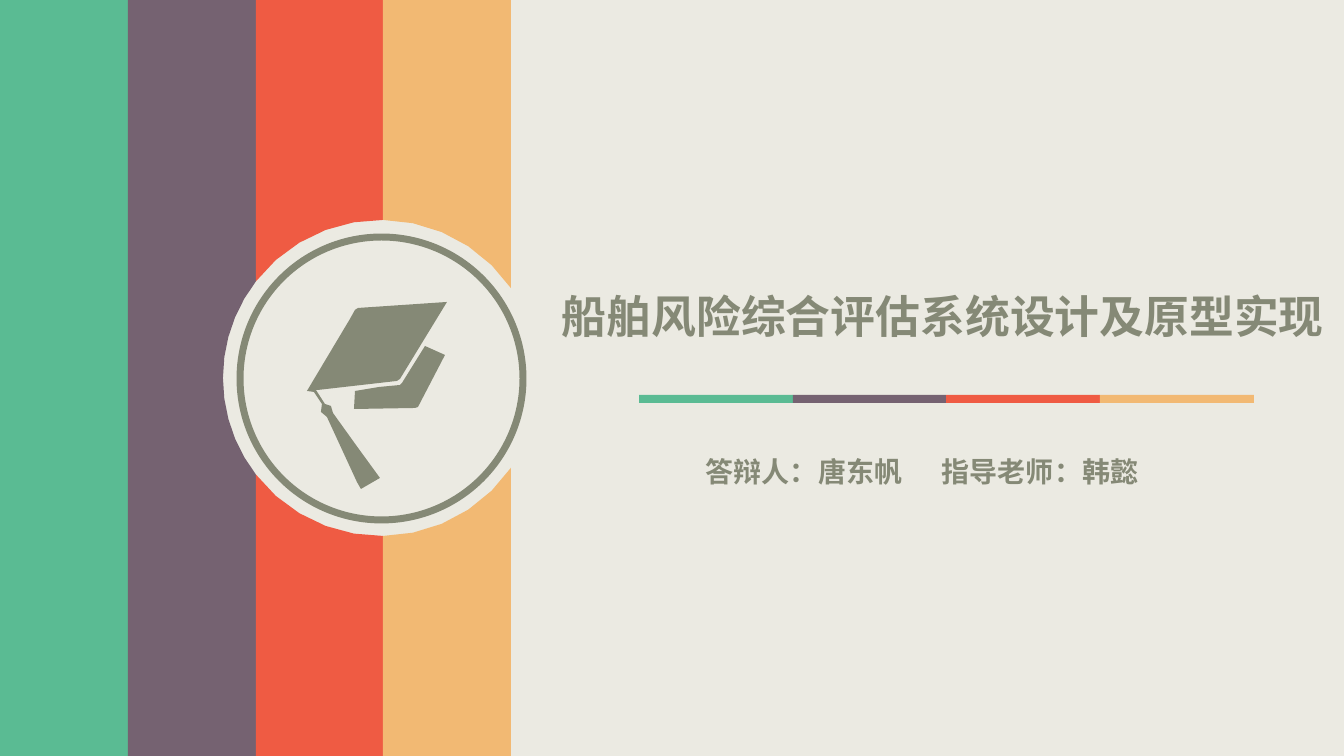
import math

import pptx
import pptx.dml.color
import pptx.enum.shapes
import pptx.enum.text
import pptx.oxml.ns
import pptx.util
from lxml import etree

RGBColor = pptx.dml.color.RGBColor
GREEN = RGBColor(0x5A, 0xBB, 0x93)
PURPLE = RGBColor(0x75, 0x62, 0x71)
RED = RGBColor(0xEF, 0x5B, 0x43)
YELLOW = RGBColor(0xF2, 0xB9, 0x73)
OLIVE = RGBColor(0x85, 0x89, 0x76)
CREAM = RGBColor(0xEB, 0xEA, 0xE2)
PALETTE = (GREEN, PURPLE, RED, YELLOW)

FONT = "Noto Sans CJK SC"
EMU_PER_PX = 914400 / 100.8
WIDTH, HEIGHT = 1344, 756
STRIPES_WIDTH = 511
BADGE_X, BADGE_Y, BADGE_RADIUS = 381, 378, 158
ARC_STEPS = 5

CAP_AND_TASSEL = [
    (316, 390), (325, 404), (331, 406), (333, 413), (356, 445),
    (380, 478), (361, 489), (357, 482), (327, 417), (321, 412),
    (322, 404), (314, 392), (307, 391), (350, 319), (355, 310),
    (358, 308), (447, 302), (400, 379), (397, 381), (318, 390),
]
CAP_BASE = [
    (354, 409), (355, 391), (379, 387), (400, 385), (402, 383),
    (425, 346), (445, 355), (418, 407), (415, 408),
]


def px(length):
    return pptx.util.Emu(round(length * EMU_PER_PX))


def bands(left, width):
    """Split a width into one band per palette colour."""
    count = len(PALETTE)
    edges = [round(left + width * i / count) for i in range(count + 1)]
    return zip(edges, edges[1:], PALETTE)


def stripe_contours(left, right):
    """Outline a full-height stripe with the round badge cut out of it."""
    def angle_at(x):
        return math.acos(max(-1, (x - BADGE_X) / BADGE_RADIUS))

    start, end = angle_at(right), angle_at(left)
    angles = [start + (end - start) * i / ARC_STEPS
              for i in range(ARC_STEPS + 1)]
    top = [(left, 0), (right, 0)]
    top += [(BADGE_X + BADGE_RADIUS * math.cos(angle),
             BADGE_Y - BADGE_RADIUS * math.sin(angle)) for angle in angles]
    bottom = [(x, HEIGHT - y) for x, y in reversed(top)]
    if left < BADGE_X - BADGE_RADIUS:
        return [top + bottom[1:]]
    return [top, bottom]


class SlideBuilder:
    def __init__(self, slide, font, text_color):
        self.slide = slide
        self.font = font
        self.text_color = text_color

    def paint(self, shape, fill):
        shape.shadow.inherit = False
        shape.fill.solid()
        shape.fill.fore_color.rgb = fill
        shape.line.fill.background()

    def rectangle(self, left, top, width, height, fill):
        shape = self.slide.shapes.add_shape(
            pptx.enum.shapes.MSO_SHAPE.RECTANGLE,
            px(left), px(top), px(width), px(height))
        self.paint(shape, fill)

    def ring(self, left, top, size, color, points):
        shape = self.slide.shapes.add_shape(
            pptx.enum.shapes.MSO_SHAPE.OVAL,
            px(left), px(top), px(size), px(size))
        shape.shadow.inherit = False
        shape.fill.background()
        shape.line.color.rgb = color
        shape.line.width = pptx.util.Pt(points)

    def outline(self, contours, fill):
        contours = [[(px(x), px(y)) for x, y in contour] for contour in contours]
        builder = self.slide.shapes.build_freeform(*contours[0][0], scale=1.0)
        for index, contour in enumerate(contours):
            if index:
                builder.move_to(*contour[0])
            builder.add_line_segments(contour[1:], close=True)
        self.paint(builder.convert_to_shape(), fill)

    def text(self, left, top, width, height, words, size):
        shape = self.slide.shapes.add_textbox(
            px(left), px(top), px(width), px(height))
        frame = shape.text_frame
        frame.word_wrap = False
        frame.auto_size = pptx.enum.text.MSO_AUTO_SIZE.SHAPE_TO_FIT_TEXT
        run = frame.paragraphs[0].add_run()
        run.text = words
        run.font.size = pptx.util.Pt(size)
        run.font.bold = True
        run.font.color.rgb = self.text_color
        run.font.name = self.font
        # East Asian characters take their own typeface
        east_asian = etree.SubElement(
            run.font._element, pptx.oxml.ns.qn("a:ea"))
        east_asian.set("typeface", self.font)


def main():
    presentation = pptx.Presentation()
    presentation.slide_width = px(WIDTH)
    presentation.slide_height = px(HEIGHT)
    slide = presentation.slides.add_slide(presentation.slide_layouts[6])
    slide.background.fill.solid()
    slide.background.fill.fore_color.rgb = CREAM
    builder = SlideBuilder(slide, FONT, OLIVE)

    # Vertical stripes around the badge
    for left, right, color in bands(0, STRIPES_WIDTH):
        if right < BADGE_X - BADGE_RADIUS:
            builder.rectangle(left, 0, right - left, HEIGHT, color)
        else:
            builder.outline(stripe_contours(left, right), color)

    # Divider under the title
    for left, right, color in bands(639, 615):
        builder.rectangle(left, 395, right - left, 8, color)

    # Badge with the graduation cap
    builder.ring(240, 237, 283, OLIVE, 5)
    builder.outline([CAP_AND_TASSEL], OLIVE)
    builder.outline([CAP_BASE], OLIVE)

    # Title and names
    builder.text(552, 284, 789, 65, "船舶风险综合评估系统设计及原型实现", 32)
    for left, words in ((696, "答辩人：唐东帆"), (932, "指导老师：韩懿")):
        builder.text(left, 450, 219, 44, words, 20)

    presentation.save("out.pptx")


if __name__ == "__main__":
    main()
